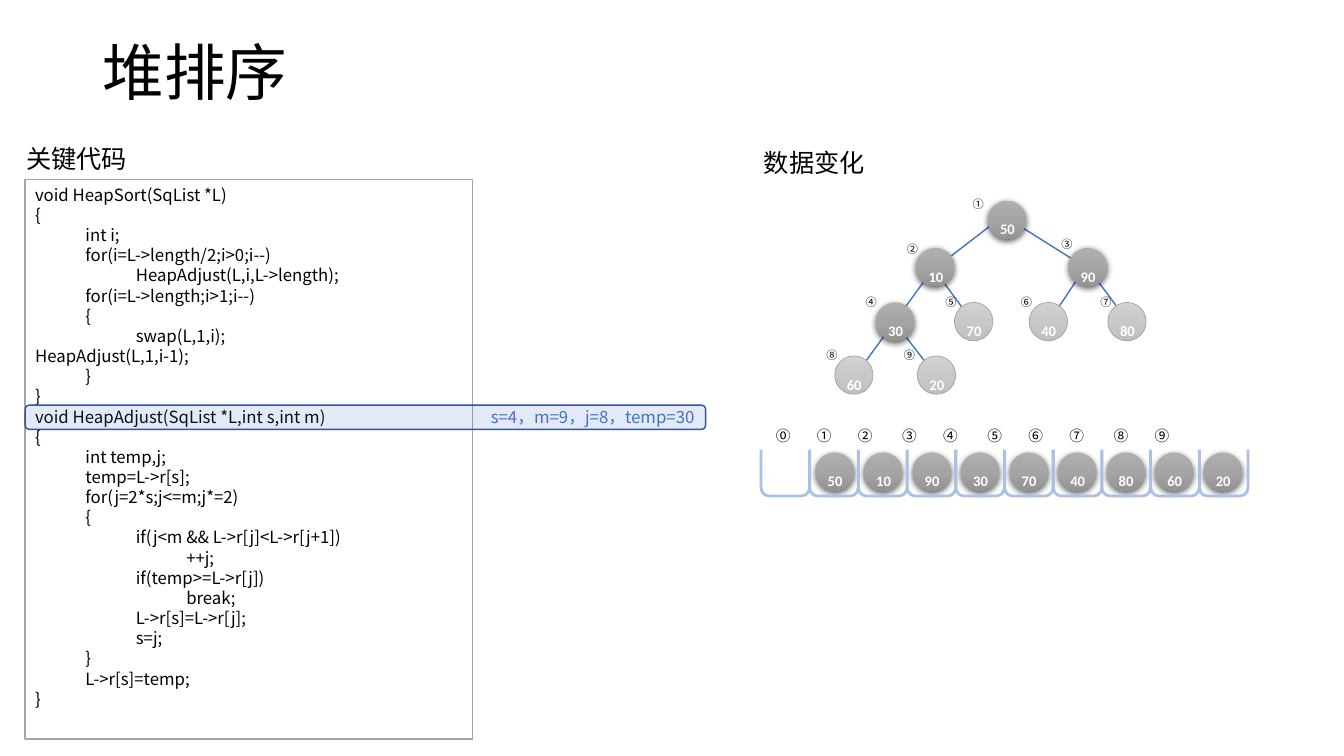
from dataclasses import dataclass
from itertools import accumulate

from lxml import etree
from pptx import Presentation
from pptx import util as u
from pptx.dml.color import RGBColor
from pptx.enum import shapes, text
from pptx.oxml import parse_xml
from pptx.oxml.ns import nsdecls, qn

Pt = u.Pt
KIND = shapes.MSO_SHAPE
ALIGN = text.PP_ALIGN
ANCHOR = text.MSO_ANCHOR


@dataclass(frozen=True)
class Theme:
    cjk: str = "Noto Sans CJK SC"
    latin: str = "Calibri"
    black: str = "000000"
    white: str = "FFFFFF"
    blue: str = "4472C4"
    navy: str = "325491"
    pale_blue: str = "ABC0E4"
    gray: str = "A5A5A5"
    dark_ball: tuple[str, ...] = ("AFAFAF", "A5A5A5", "939393")
    light_ball: tuple[str, ...] = ("D2D2D2", "C8C8C8", "C0C0C0")
    title: float = 44
    heading: float = 18
    code: float = 12
    index: float = 10.5
    label: float = 8
    value: float = 18
    leading: float = 1.2


@dataclass(frozen=True)
class Area:
    x: float
    y: float
    w: float
    h: float

    def points(self) -> tuple:
        return Pt(self.x), Pt(self.y), Pt(self.w), Pt(self.h)


@dataclass(frozen=True)
class Node:
    label: str
    value: str
    x: float
    y: float
    label_x: float
    label_y: float
    leaf: bool = False


THEME = Theme()
BALL = 27.4

CODE = """void HeapSort(SqList *L)
{
\tint i;
\tfor(i=L->length/2;i>0;i--)
\t\tHeapAdjust(L,i,L->length);
\tfor(i=L->length;i>1;i--)
\t{
\t\tswap(L,1,i);
HeapAdjust(L,1,i-1);
\t}
}
void HeapAdjust(SqList *L,int s,int m)
{
\tint temp,j;
\ttemp=L->r[s];
\tfor(j=2*s;j<=m;j*=2)
\t{
\t\tif(j<m && L->r[j]<L->r[j+1])
\t\t\t++j;
\t\tif(temp>=L->r[j])
\t\t\tbreak;
\t\tL->r[s]=L->r[j];
\t\ts=j;
\t}
\tL->r[s]=temp;
}"""

NODES = [
    Node("①", "50", 705.6, 143.3, 687.6, 137.5),
    Node("②", "10", 654.5, 177.1, 640.8, 169.2),
    Node("③", "90", 763.2, 177.1, 751, 166.3),
    Node("④", "30", 625.7, 216, 611.3, 207.4),
    Node("⑤", "70", 681.8, 216, 668.2, 207.4, True),
    Node("⑥", "40", 735.1, 216, 722.2, 207.4, True),
    Node("⑦", "80", 791.3, 216, 779, 207.4, True),
    Node("⑧", "60", 596.2, 254.2, 583.2, 245.5, True),
    Node("⑨", "20", 655.2, 254.2, 638.6, 245.5, True),
]

EDGES = [
    (776.9, 190.8, 803.5, 226.8), (724.3, 148.3, 665.3, 193.7),
    (774.7, 191.5, 746.6, 234), (666, 190.8, 692.6, 226.8),
    (640.8, 232.6, 668.2, 267.8), (725.8, 159.8, 774, 190.1),
    (669.6, 187.9, 607, 273.6),
]


def write(box, lines: list[str], size: float, color: str = THEME.black,
          align=ALIGN.LEFT, anchor=ANCHOR.TOP, wrap: bool = True,
          spacing: float = THEME.leading) -> None:
    frame = box.text_frame
    frame.word_wrap = wrap
    frame.vertical_anchor = anchor
    for number, line in enumerate(lines):
        para = frame.add_paragraph() if number else frame.paragraphs[0]
        para.alignment = align
        para.line_spacing = Pt(size * spacing)
        span = para.add_run()
        span.text = line
        span.font.size = Pt(size)
        span.font.name = THEME.cjk
        span.font.color.rgb = RGBColor.from_string(color)
        east = etree.SubElement(span.font._element, qn("a:ea"))
        east.set("typeface", THEME.cjk)


def add_text(page, area: Area, line: str, size: float, **style) -> None:
    write(page.shapes.add_textbox(*area.points()), [line], size, **style)


def add_shape(parent, kind, area: Area, fill: str | None = None,
              line: str | None = None, width: float = 1):
    shape = parent.shapes.add_shape(kind, *area.points())
    shape.shadow.inherit = False
    if fill:
        shape.fill.solid()
        shape.fill.fore_color.rgb = RGBColor.from_string(fill)
    else:
        shape.fill.background()
    if line:
        shape.line.color.rgb = RGBColor.from_string(line)
        shape.line.width = Pt(width)
    else:
        shape.line.fill.background()
    return shape


def add_ball(parent, x: float, y: float, leaf: bool = False) -> None:
    ball = add_shape(parent, KIND.OVAL, Area(x, y, BALL, BALL),
                     line=THEME.gray if leaf else None, width=0.5)
    colors = THEME.light_ball if leaf else THEME.dark_ball
    stops = "".join(f'<a:gs pos="{i * 50000}"><a:srgbClr val="{color}"/></a:gs>'
                    for i, color in enumerate(colors))
    props = ball._element.spPr
    props.replace(props.find(qn("a:noFill")), parse_xml(
        f'<a:gradFill {nsdecls("a")}><a:gsLst>{stops}</a:gsLst>'
        '<a:lin ang="5400000" scaled="0"/></a:gradFill>'))
    if not leaf:
        props.find(qn("a:effectLst")).append(parse_xml(
            f'<a:outerShdw {nsdecls("a")} blurRad="57150" dist="19050" dir="5400000" '
            f'algn="ctr" rotWithShape="0"><a:srgbClr val="{THEME.black}">'
            '<a:alpha val="63000"/></a:srgbClr></a:outerShdw>'))


def add_value(parent, x: float, y: float, value: str) -> None:
    box = parent.shapes.add_textbox(*Area(x + 0.3, y - 1.6, BALL, 21.6).points())
    box.text_frame.word_wrap = False
    para = box.text_frame.paragraphs[0]
    para.alignment = ALIGN.CENTER
    span = para.add_run()
    span.text = value
    span.font.size = Pt(THEME.value)
    span.font.name = THEME.latin
    span.font.bold = True
    span.font.color.rgb = RGBColor.from_string(THEME.white)
    span.font._element.set("baseline", "-25000")


def add_code(page) -> None:
    listing = add_shape(page, KIND.RECTANGLE, Area(18, 128.2, 319.7, 399.6),
                        THEME.white, THEME.gray)
    write(listing, CODE.split("\n"), THEME.code)
    # Highlighted call with the current variables
    band = add_shape(page, KIND.ROUNDED_RECTANGLE, Area(18, 289.4, 486, 17.3),
                     THEME.blue, THEME.navy)
    tint = band._element.spPr.find(qn("a:solidFill"))[0]
    etree.SubElement(tint, qn("a:alpha")).set("val", "15000")
    write(band, ["s=4，m=9，j=8，temp=30"], THEME.code, THEME.blue,
          ALIGN.RIGHT, ANCHOR.MIDDLE)


def add_tree(page) -> None:
    for x1, y1, x2, y2 in EDGES:
        edge = page.shapes.add_connector(shapes.MSO_CONNECTOR.STRAIGHT,
                                         Pt(x1), Pt(y1), Pt(x2), Pt(y2))
        edge.line.color.rgb = RGBColor.from_string(THEME.blue)
        edge.line.width = Pt(1)
        etree.SubElement(edge._element.spPr, qn("a:effectLst"))
    for node in NODES:
        group = page.shapes.add_group_shape()
        add_ball(group, node.x, node.y, node.leaf)
        add_value(group, node.x, node.y, node.value)
    for node in NODES:
        add_text(page, Area(node.label_x, node.label_y, 22.4, 17.3),
                 node.label, THEME.label, wrap=False)


def add_array(page) -> None:
    top = 323.2
    ball_xs = [582.5 + 34.65 * i for i in range(len(NODES))]
    for x in ball_xs:
        add_ball(page, x, top)
    for i in range(len(NODES) + 1):
        slot = add_shape(page, KIND.ROUND_2_SAME_RECTANGLE,
                         Area(543.6 + 34.8 * i, 319.7, 34.6, 34.6),
                         line=THEME.pale_blue, width=2)
        slot.rotation = 180
    for x, node in zip(ball_xs, NODES):
        add_value(page, x, top, node.value)
    # Index row, which also hides the upper rims of the slots
    row = add_shape(page, KIND.RECTANGLE, Area(542.2, 301, 351.4, 20.2), THEME.white)
    row.text_frame.margin_left = Pt(11.9)
    props = row.text_frame.paragraphs[0]._p.get_or_add_pPr()
    tabs = etree.SubElement(props, qn("a:tabLst"))
    for stop in accumulate((29.3, 29.3, 31.6, 29.3, 31.6, 29.3, 29.3, 31.6, 29.3)):
        etree.SubElement(tabs, qn("a:tab"), pos=str(int(Pt(stop))), algn="l")
    write(row, ["\t".join(["⓪"] + [node.label for node in NODES])], THEME.index)


def main() -> None:
    deck = Presentation()
    deck.slide_width, deck.slide_height = Pt(960), Pt(540)
    page = deck.slides.add_slide(deck.slide_layouts[6])
    # Title and column headings
    add_text(page, Area(66.2, 0.7, 828, 104.4), "堆排序", THEME.title,
             anchor=ANCHOR.MIDDLE, spacing=THEME.leading * 0.9)
    add_code(page)
    add_text(page, Area(11.5, 98.6, 90, 28.8), "关键代码", THEME.heading)
    add_text(page, Area(538.6, 101.5, 90, 28.8), "数据变化", THEME.heading)
    add_tree(page)
    add_array(page)
    deck.save("out.pptx")


if __name__ == "__main__":
    main()
